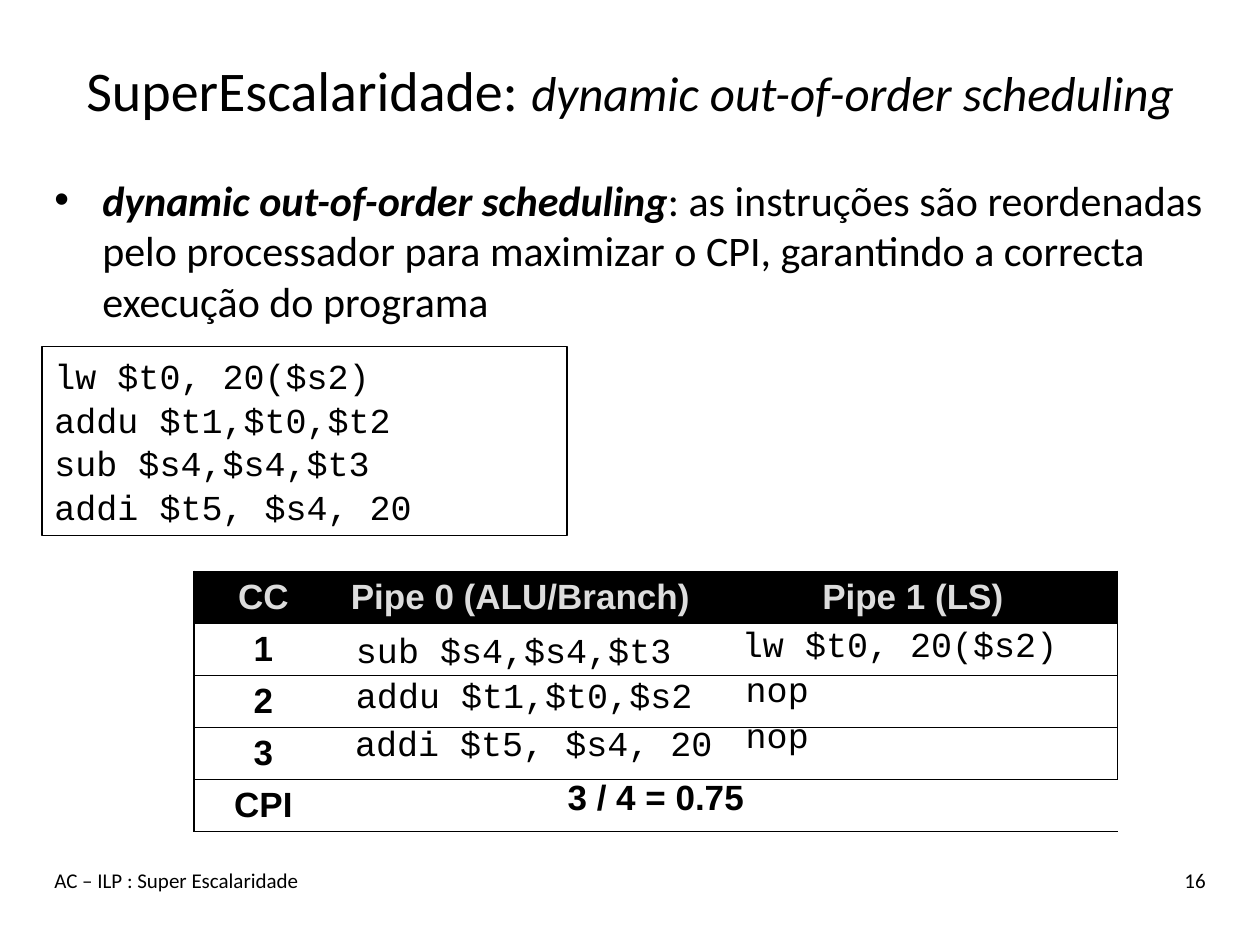
from lxml import etree
from pptx import Presentation
from pptx.dml.color import RGBColor
from pptx.enum.shapes import MSO_SHAPE
from pptx.enum.text import MSO_ANCHOR, PP_ALIGN
from pptx.oxml.ns import qn
from pptx.util import Inches, Pt

BLACK = RGBColor(0x00, 0x00, 0x00)
GRAY = RGBColor(0xDD, 0xDD, 0xDD)
LEFT, CENTER, RIGHT = PP_ALIGN.LEFT, PP_ALIGN.CENTER, PP_ALIGN.RIGHT
TOP, MIDDLE = MSO_ANCHOR.TOP, MSO_ANCHOR.MIDDLE
RECTANGLE = MSO_SHAPE.RECTANGLE
SANS, ARIAL, MONO = "Calibri", "Arial", "Courier New"

deck = Presentation()
deck.slide_width, deck.slide_height = Inches(10), Inches(7.5)
COLUMN, ROW = deck.slide_width / 30, deck.slide_height / 90
page = deck.slides.add_slide(deck.slide_layouts[5])


def place(left, top, width, height):
    return int(left * COLUMN), int(top * ROW), int(width * COLUMN), int(height * ROW)


def write(para, text, font=SANS, size=12, color=BLACK, bold=False, italic=False,
          align=LEFT, before=0):
    para.alignment = align
    para.space_before = Pt(before)
    span = para.add_run()
    span.text = text
    span.font.name, span.font.size = font, Pt(size)
    span.font.bold, span.font.italic = bold, italic
    span.font.color.rgb = color


title = page.shapes.title
title.left, title.top, title.width, title.height = place(1, 3, 28, 11)
title.text_frame.vertical_anchor = MIDDLE
heading = title.text_frame.paragraphs[0]
write(heading, "SuperEscalaridade: ", size=32, align=CENTER)
write(heading, "dynamic out-of-order scheduling", size=28, italic=True, align=CENTER)

body = page.shapes.add_textbox(*place(1, 16, 28, 16))
body.text_frame.word_wrap = True
point = body.text_frame.paragraphs[0]
write(point, "dynamic out-of-order scheduling", size=24, bold=True, italic=True, before=5)
write(point, ": as instruções são reordenadas pelo processador para maximizar o CPI, "
      "garantindo a correcta execução do programa", size=24, before=5)
bullet_format = point._p.get_or_add_pPr()
bullet_format.set("marL", str(Inches(0.38)))
bullet_format.set("indent", str(-Inches(0.38)))
etree.SubElement(bullet_format, qn("a:buFont")).set("typeface", ARIAL)
etree.SubElement(bullet_format, qn("a:buChar")).set("char", "•")

for left, width, text, align in [
    (1, 21, "AC – ILP : Super Escalaridade", LEFT),
    (25, 4, "16", RIGHT),
]:
    footer = page.shapes.add_textbox(*place(left, 82, width, 6))
    footer.text_frame.word_wrap = True
    write(footer.text_frame.paragraphs[0], text, align=align)

code = page.shapes.add_shape(RECTANGLE, *place(1, 33, 12.5, 18))
code.shadow.inherit = False
code.fill.background()
code.line.color.rgb = BLACK
code.line.width = Pt(0.75)
code.text_frame.vertical_anchor = MIDDLE
instructions = ["lw $t0, 20($s2)", "addu $t1,$t0,$t2", "sub $s4,$s4,$t3", "addi $t5, $s4, 20"]
for index, instruction in enumerate(instructions):
    para = code.text_frame.paragraphs[0] if index == 0 else code.text_frame.add_paragraph()
    write(para, instruction, font=MONO, size=20, before=1)

schedule_rows = [("CC", "Pipe 0 (ALU/Branch)", "Pipe 1 (LS)"), ("1",), ("2",), ("3",), ("CPI",)]
column_widths = [3.3, 8.94, 9.75]
row_height = 4.92
frame = page.shapes.add_table(
    len(schedule_rows), len(column_widths),
    *place(4.62, 54.4, sum(column_widths), row_height * len(schedule_rows)))
schedule = frame.table
schedule.first_row = schedule.horz_banding = False
for column, width in zip(schedule.columns, column_widths):
    column.width = int(width * COLUMN)
for row_index, labels in enumerate(schedule_rows):
    schedule.rows[row_index].height = int(row_height * ROW)
    for column_index, cell in enumerate(schedule.rows[row_index].cells):
        cell.vertical_anchor = MIDDLE
        cell.margin_top = cell.margin_bottom = Inches(0.04)
        visible = {"lnL": column_index == 0, "lnR": column_index == 2, "lnT": True, "lnB": True}
        for side, shown in visible.items():
            border = etree.SubElement(cell._tc.get_or_add_tcPr(), qn(f"a:{side}"))
            border.set("w", str(Pt(0.75)))
            paint = etree.SubElement(border, qn("a:solidFill" if shown else "a:noFill"))
            if shown:
                etree.SubElement(paint, qn("a:srgbClr")).set("val", str(BLACK))
        if row_index == 0:
            cell.fill.solid()
            cell.fill.fore_color.rgb = BLACK
        else:
            cell.fill.background()
        if column_index < len(labels):
            write(cell.text_frame.paragraphs[0], labels[column_index], font=ARIAL, size=20,
                  color=BLACK if row_index else GRAY, bold=True, align=CENTER)
schedule.cell(4, 1).merge(schedule.cell(4, 2))

for left, top, width, text, style in [
    (17.37, 58.7, 8.2, "lw $t0, 20($s2)", {"font": MONO}),
    (8.18, 59.3, 8.2, "sub $s4,$s4,$t3", {"font": MONO}),
    (8.18, 63.6, 8.67, "addu $t1,$t0,$s2", {"font": MONO}),
    (17.46, 63, 2.13, "nop", {"font": MONO}),
    (17.46, 67.4, 2.13, "nop", {"font": MONO}),
    (8.16, 68.1, 9.18, "addi $t5, $s4, 20", {"font": MONO}),
    (13.2, 73.3, 4.83, "3 / 4 = 0.75", {"font": ARIAL, "bold": True, "align": CENTER}),
]:
    entry = page.shapes.add_textbox(*place(left, top, width, 5.3))
    entry.text_frame.word_wrap = False
    entry.text_frame.vertical_anchor = TOP
    write(entry.text_frame.paragraphs[0], text, size=20, before=1, **style)

deck.save("out.pptx")
